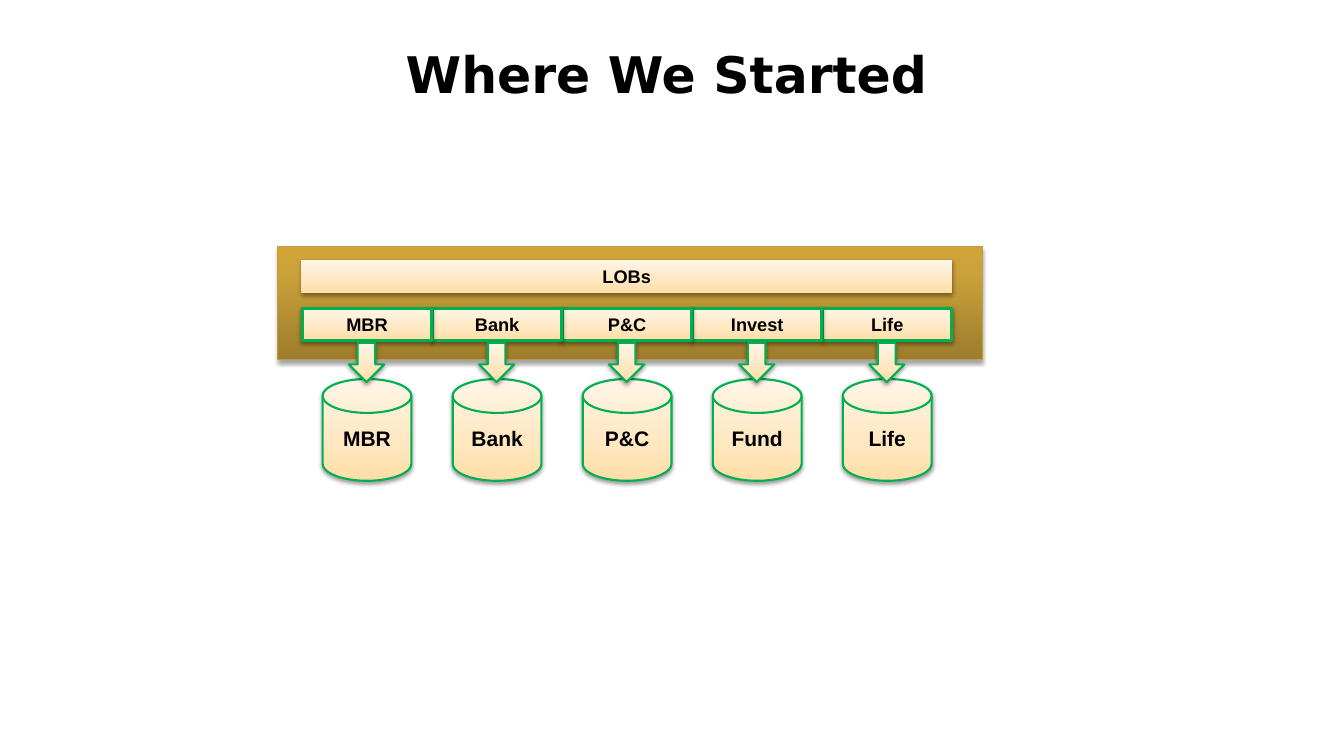
from dataclasses import dataclass

from lxml import etree
from pptx import Presentation
from pptx import util as u
from pptx.dml.color import RGBColor
from pptx.enum import shapes, text
from pptx.oxml.ns import qn


@dataclass(frozen=True)
class Theme:
    title_font: str = "DejaVu Sans"
    body_font: str = "Arial"
    title_size: int = 36
    bar_size: int = 13
    store_size: int = 15
    ink: str = "000000"
    green: str = "00B050"
    gold_line: str = "C09E48"
    gold: tuple = ((0, "9D7D2C"), (80, "CCA23A"), (100, "D0A437"))
    cream: tuple = ((0, "FFDDA6"), (35, "FFE7BF"), (100, "FFF5E7"))


THEME = Theme()
RECT = shapes.MSO_SHAPE.RECTANGLE
DISK = shapes.MSO_SHAPE.FLOWCHART_MAGNETIC_DISK
ARROW = shapes.MSO_SHAPE.DOWN_ARROW
COLUMNS = [("MBR", "MBR"), ("Bank", "Bank"), ("P&C", "P&C"), ("Invest", "Fund"), ("Life", "Life")]
FIRST_CENTER, PITCH = 3.64, 1.29


def add_child(parent, tag, **attrs):
    return etree.SubElement(parent, qn(tag), {k: str(v) for k, v in attrs.items()})


def set_gradient(s, stops):
    s.fill.gradient()
    s.fill.gradient_angle = 90
    stop_list = s._element.spPr.find(qn("a:gradFill")).find(qn("a:gsLst"))
    for stop in list(stop_list):
        stop_list.remove(stop)
    for position, color in stops:
        stop = add_child(stop_list, "a:gs", pos=position * 1000)
        add_child(stop, "a:srgbClr", val=color)


def set_shadow(s, opacity, distance):
    s.shadow.inherit = False
    effects = s._element.spPr.find(qn("a:effectLst"))
    shadow = add_child(effects, "a:outerShdw", blurRad=u.Pt(3.1), dist=u.Pt(distance),
                       dir=5400000, rotWithShape=0)
    color = add_child(shadow, "a:srgbClr", val=THEME.ink)
    add_child(color, "a:alpha", val=opacity * 1000)


def set_text(tf, words, size, font):
    p = tf.paragraphs[0]
    p.text = words
    p.alignment = text.PP_ALIGN.CENTER
    p.font.size = u.Pt(size)
    p.font.name = font
    p.font.bold = True
    p.font.color.rgb = RGBColor.from_string(THEME.ink)
    return p


def add_block(parent, kind, box, stops=THEME.cream, line=THEME.green, width=1.5,
              shadow=(38, 1.6), words=None, size=THEME.bar_size):
    s = parent.add_shape(kind, *map(u.Inches, box))
    set_gradient(s, stops)
    if line:
        s.line.color.rgb = RGBColor.from_string(line)
        s.line.width = u.Pt(width)
    else:
        s.line.fill.background()
    set_shadow(s, *shadow)
    if words:
        tf = s.text_frame
        tf.word_wrap = True
        tf.vertical_anchor = text.MSO_ANCHOR.MIDDLE
        set_text(tf, words, size, THEME.body_font)
    return s


def add_title(sp, words):
    s = sp.add_textbox(*map(u.Inches, (1.66, -0.17, 10, 1.25)))
    tf = s.text_frame
    tf.word_wrap = True
    tf.margin_left = 0
    tf.vertical_anchor = text.MSO_ANCHOR.BOTTOM
    set_text(tf, words, THEME.title_size, THEME.title_font).line_spacing = 0.89


def add_column(sp, center, business, store):
    column = sp.add_group_shape().shapes
    add_block(column, RECT, (center - 0.64, 3.06, 1.28, 0.32), width=2, words=business)
    add_block(column, DISK, (center - 0.44, 3.76, 0.88, 1.01), words=store, size=THEME.store_size)
    add_block(column, ARROW, (center - 0.18, 3.4, 0.35, 0.39))


def main():
    prs = Presentation()
    prs.slide_width, prs.slide_height = u.Inches(13.33), u.Inches(7.5)
    sp = prs.slides.add_slide(prs.slide_layouts[6]).shapes
    add_title(sp, "Where We Started")
    add_block(sp, RECT, (2.75, 2.45, 6.99, 1.12), THEME.gold, THEME.gold_line, 0.75, (35, 1.8))
    add_block(sp, RECT, (2.99, 2.58, 6.45, 0.33), line=None, words="LOBs")
    for i, (business, store) in reversed(list(enumerate(COLUMNS))):
        add_column(sp, FIRST_CENTER + i * PITCH, business, store)
    prs.save("out.pptx")


if __name__ == "__main__":
    main()
